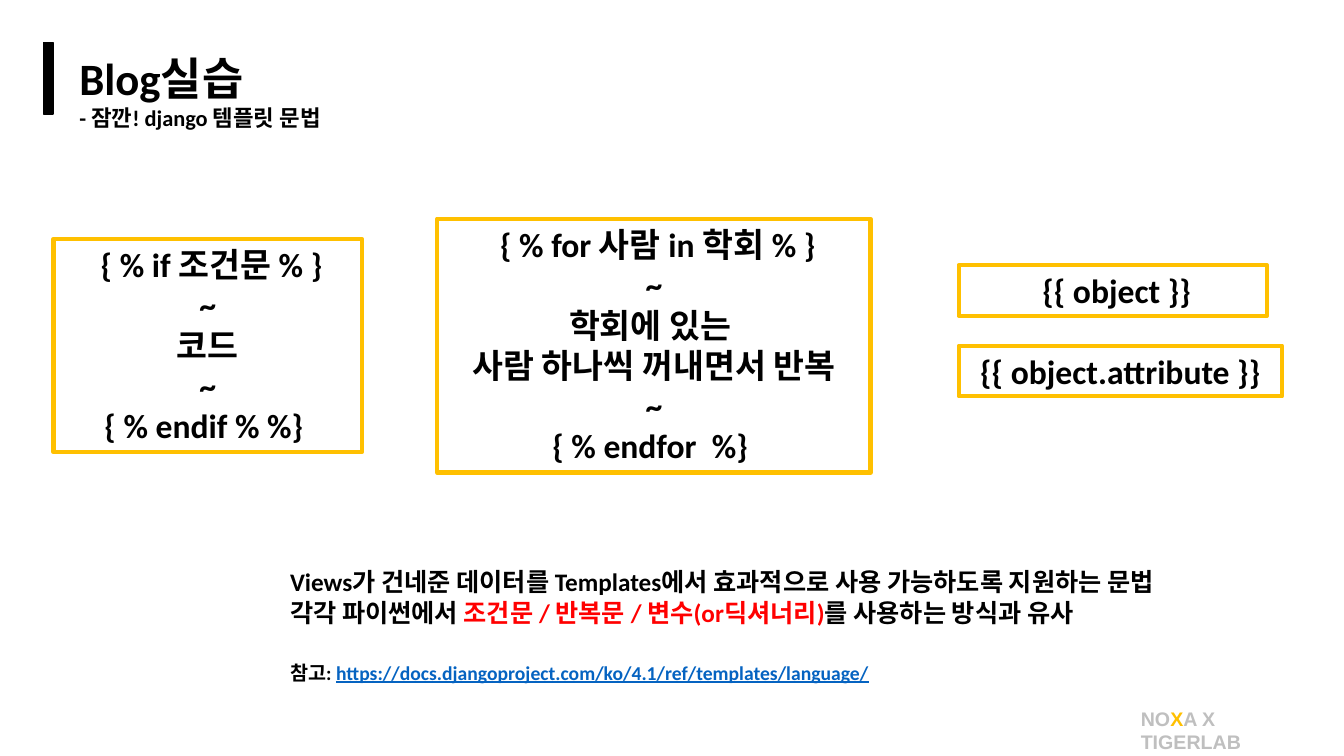
from dataclasses import dataclass

from pptx import Presentation
from pptx import util as u
from pptx.dml.color import RGBColor
from pptx.enum import shapes, text

BLACK = RGBColor(0x00, 0x00, 0x00)
GREY = RGBColor(0xBF, 0xBF, 0xBF)
AMBER = RGBColor(0xFF, 0xC0, 0x00)
RED = RGBColor(0xFF, 0x00, 0x00)
LINK_BLUE = RGBColor(0x05, 0x63, 0xC1)


@dataclass(frozen=True)
class Span:
    words: str
    color: RGBColor = BLACK
    underline: bool = False


@dataclass(frozen=True)
class Line:
    spans: tuple[Span, ...]
    size: float
    space_before: float = 0


@dataclass(frozen=True)
class Area:
    left: float
    top: float
    width: float
    height: float

    def lengths(self) -> tuple:
        return u.Cm(self.left), u.Cm(self.top), u.Cm(self.width), u.Cm(self.height)


@dataclass(frozen=True)
class SyntaxBox:
    area: Area
    code: tuple[str, ...]


SYNTAX_BOXES = (
    SyntaxBox(
        Area(1.35, 6.02, 7.77, 5.38),
        (" { % if 조건문 % }", "~", "코드", "~", "{ % endif % %} "),
    ),
    SyntaxBox(
        Area(11.02, 5.51, 10.92, 6.4),
        (" { % for 사람 in 학회 % }", "~", "학회에 있는 ",
         "사람 하나씩 꺼내면서 반복", "~", "{ % endfor  %} "),
    ),
    SyntaxBox(Area(24.16, 6.68, 7.77, 1.28), (" {{ object }}",)),
    SyntaxBox(Area(24.16, 8.71, 8.15, 1.28), ("{{ object.attribute }}",)),
)

TITLE_LINES = (
    Line((Span("Blog실습"),), 32),
    Line((Span("- 잠깐! django 템플릿 문법"),), 16),
)

EXPLANATION_LINES = (
    Line((Span("Views가 건네준 데이터를 Templates에서 효과적으로 사용 가능하도록 지원하는 문법"),), 18),
    Line((
        Span("각각 파이썬에서 "),
        Span("조건문 / 반복문 / 변수(or딕셔너리)", RED),
        Span("를 사용하는 방식과 유사"),
    ), 18),
    Line((
        Span("참고: "),
        Span("https://docs.djangoproject.com/ko/4.1/ref/templates/language/", LINK_BLUE, True),
    ), 14, 24),
)

FOOTER_LINES = (
    Line((Span("NO", GREY), Span("X", AMBER), Span("A X TIGERLAB", GREY)), 14),
)


def write_lines(frame, lines, alignment=text.PP_ALIGN.LEFT, font_name: str = "Calibri") -> None:
    frame.word_wrap = True
    frame.auto_size = text.MSO_AUTO_SIZE.NONE
    frame.margin_left = frame.margin_right = u.Cm(0.25)
    frame.margin_top = frame.margin_bottom = u.Cm(0.13)
    for index, line in enumerate(lines):
        paragraph = frame.paragraphs[0] if index == 0 else frame.add_paragraph()
        paragraph.alignment = alignment
        paragraph.line_spacing = 1.0
        if line.space_before:
            paragraph.space_before = u.Pt(line.space_before)
        for span in line.spans:
            run = paragraph.add_run()
            run.text = span.words
            run.font.name = font_name
            run.font.size = u.Pt(line.size)
            run.font.bold = True
            run.font.color.rgb = span.color
            if span.underline:
                run.font.underline = True


def add_title(slide) -> None:
    title = slide.shapes.title
    title.left, title.top, title.width, title.height = Area(1.75, 1.14, 16.81, 2.31).lengths()
    title.text_frame.vertical_anchor = text.MSO_ANCHOR.TOP
    write_lines(title.text_frame, TITLE_LINES)


def add_title_bar(slide) -> None:
    bar = slide.shapes.add_shape(
        shapes.MSO_SHAPE.RECTANGLE, *Area(1.09, 1.07, 0.25, 1.8).lengths())
    bar.shadow.inherit = False
    bar.fill.solid()
    bar.fill.fore_color.rgb = BLACK
    bar.line.color.rgb = BLACK
    bar.line.width = u.Pt(1)


def add_syntax_box(slide, box: SyntaxBox) -> None:
    shape = slide.shapes.add_shape(shapes.MSO_SHAPE.RECTANGLE, *box.area.lengths())
    shape.shadow.inherit = False
    shape.fill.background()
    shape.line.color.rgb = AMBER
    shape.line.width = u.Pt(3)
    shape.text_frame.vertical_anchor = text.MSO_ANCHOR.TOP
    lines = [Line((Span(code),), 24) for code in box.code]
    write_lines(shape.text_frame, lines, text.PP_ALIGN.CENTER)


def add_text(slide, area: Area, lines, font_name: str = "Calibri") -> None:
    box = slide.shapes.add_textbox(*area.lengths())
    write_lines(box.text_frame, lines, font_name=font_name)


def main() -> None:
    presentation = Presentation()
    presentation.slide_width = u.Cm(33.87)
    presentation.slide_height = u.Cm(19.05)
    slide = presentation.slides.add_slide(presentation.slide_layouts.get_by_name("Title Only"))
    add_title_bar(slide)
    add_title(slide)
    add_text(slide, Area(28.5, 17.68, 4.9, 0.86), FOOTER_LINES, "Arial")
    for box in SYNTAX_BOXES:
        add_syntax_box(slide, box)
    add_text(slide, Area(7.06, 14.15, 23.83, 3.25), EXPLANATION_LINES)
    presentation.save("out.pptx")


if __name__ == "__main__":
    main()
